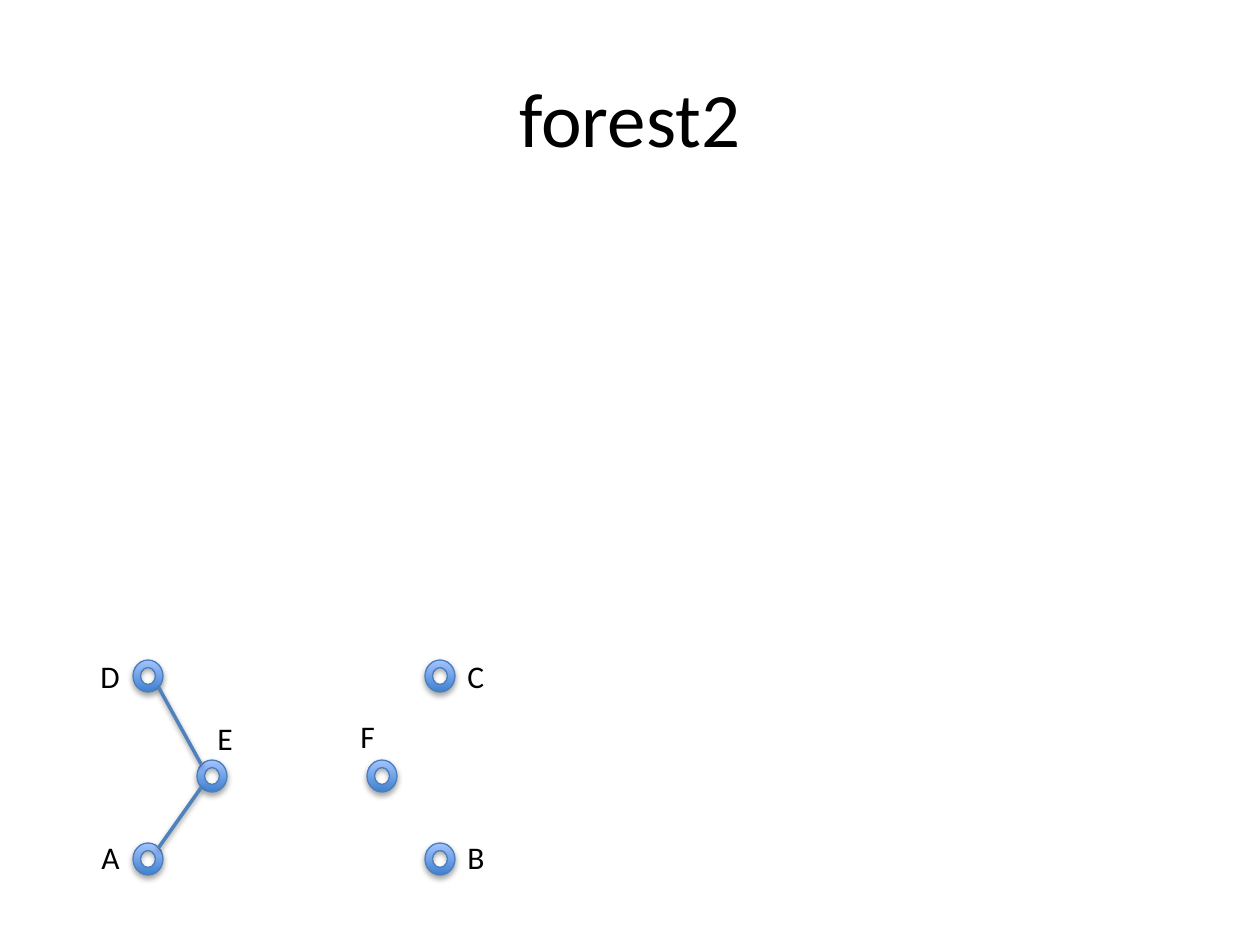
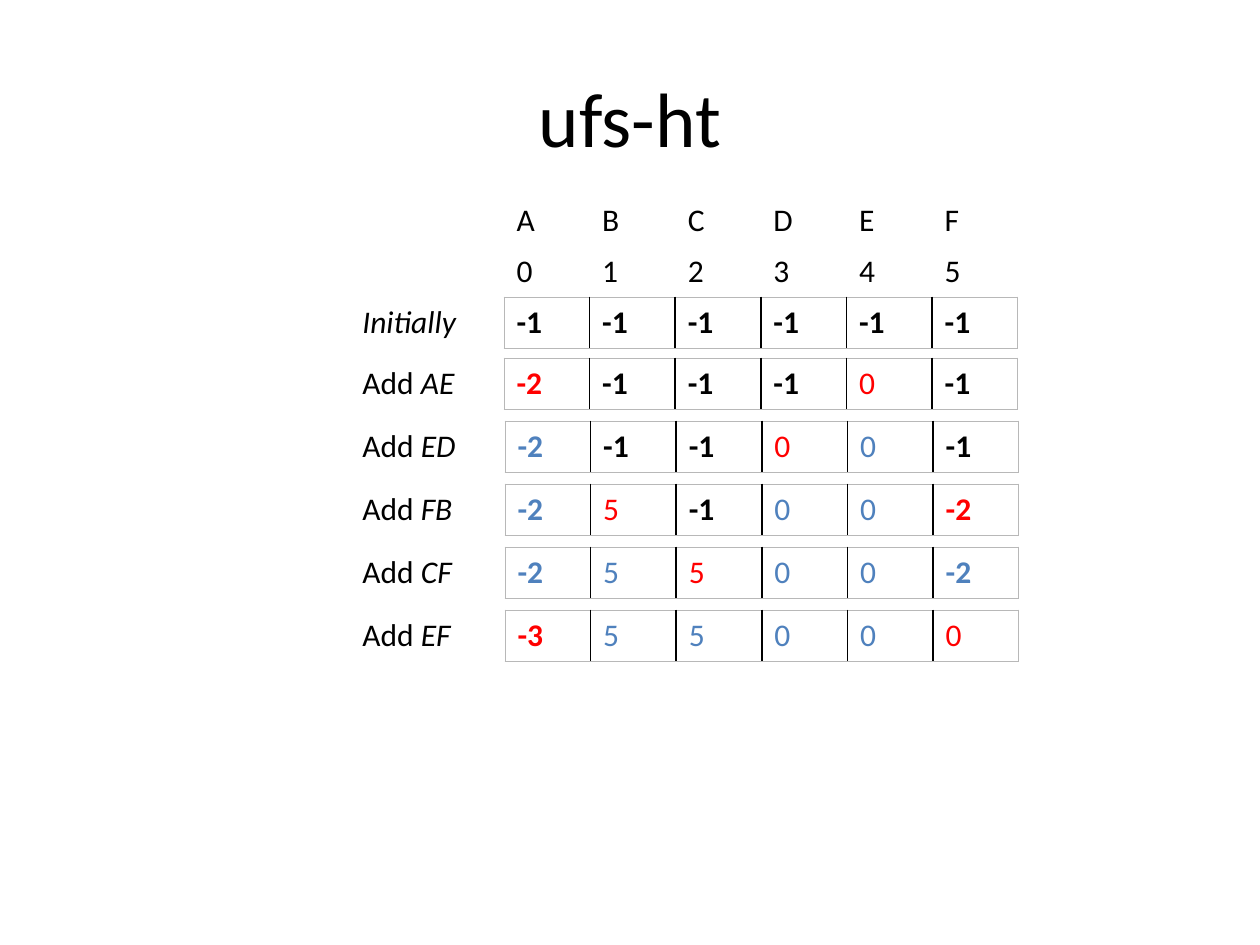
import pptx
import pptx.dml.color
import pptx.enum.shapes
import pptx.enum.text
import pptx.oxml.ns
import pptx.util
from lxml import etree

# Lengths are px, 126 to the inch.
EMU_PER_PX = 914400 / 126
SLIDE_SIZE = (1260, 945)
TITLE_BOX = (63, 38, 1134, 157)
FONT = "Calibri"
TITLE_SIZE, BODY_SIZE = 44, 18
BLACK, RED, BLUE, GREY = "000000", "FF0000", "4F81BD", "B8B8B8"
NODE_LINE, NODE_BOTTOM, NODE_TOP = "4B7EBC", "3F80CE", "A4C4FF"

# Forest: node name -> node left and top, label left, top and width
FOREST_TITLE = "forest2"
NODE_SIZE = (30, 32)
LABEL_HEIGHT = 50
NODES = {
    "A": ((133, 843), (89, 832, 44)),
    "B": ((425, 843), (455, 832, 43)),
    "C": ((425, 660), (455, 651, 43)),
    "D": ((133, 660), (88, 651, 45)),
    "E": ((197, 760), (205, 713, 42)),
    "F": ((367, 760), (348, 711, 40)),
}
# Each end is a node and its corner: 0 or 1 across, 0 or 1 down
EDGES = [(("A", 1, 0), ("E", 0, 1)), (("E", 0, 0), ("D", 1, 1))]
CORNER_INSET = 0.15

# Union-find: array contents after each step
ARRAY_TITLE = "ufs-ht"
ARRAY_WIDTH, ROW_HEIGHT = 514, 51
HEADERS = [(195, "ABCDEF"), (246, "012345")]
HEADER_LEFT = 504
STEP_LABEL_LEFT = 350
# Plain label, italic label, label width, array left and top, values
STEPS = [
    ("", "Initially", 120, 504, 297, [-1, -1, -1, -1, -1, -1]),
    ("Add ", "AE", 122, 504, 358, [-2, -1, -1, -1, 0, -1]),
    ("Add ", "ED", 120, 505, 421, [-2, -1, -1, 0, 0, -1]),
    ("Add ", "FB", 116, 505, 484, [-2, 5, -1, 0, 0, -2]),
    ("Add ", "CF", 118, 505, 547, [-2, 5, 5, 0, 0, -2]),
    ("Add ", "EF", 115, 505, 610, [-3, 5, 5, 0, 0, 0]),
]


def px(*lengths):
    return [pptx.util.Emu(round(length * EMU_PER_PX)) for length in lengths]


def rgb(colour):
    return pptx.dml.color.RGBColor.from_string(colour)


def set_font(paragraph, colour=BLACK, size=BODY_SIZE, bold=None):
    font = paragraph.font
    font.name, font.size, font.bold = FONT, pptx.util.Pt(size), bold
    font.color.rgb = rgb(colour)


def add_element(parent, tag, **attributes):
    return etree.SubElement(parent, pptx.oxml.ns.qn(tag), attributes)


def add_shadow(shape, distance, opacity):
    """Append a soft downward shadow; fill and line must be set already."""
    effects = add_element(shape.element.spPr, "a:effectLst")
    shadow = add_element(effects, "a:outerShdw", blurRad="40000", dist=str(distance),
                         dir="5400000", rotWithShape="0")
    colour = add_element(shadow, "a:srgbClr", val=BLACK)
    add_element(colour, "a:alpha", val=str(opacity * 1000))


def add_titled_slide(presentation, title):
    slide = presentation.slides.add_slide(presentation.slide_layouts[5])
    placeholder = slide.shapes.title
    placeholder.left, placeholder.top, placeholder.width, placeholder.height = px(*TITLE_BOX)
    placeholder.text_frame.vertical_anchor = pptx.enum.text.MSO_ANCHOR.MIDDLE
    paragraph = placeholder.text_frame.paragraphs[0]
    paragraph.text = title
    paragraph.alignment = pptx.enum.text.PP_ALIGN.CENTER
    set_font(paragraph, size=TITLE_SIZE)
    return slide


def add_label(shapes, left, top, width, plain, italic=""):
    frame = shapes.add_textbox(*px(left, top, width, LABEL_HEIGHT)).text_frame
    frame.word_wrap = False
    frame.auto_size = pptx.enum.text.MSO_AUTO_SIZE.SHAPE_TO_FIT_TEXT
    paragraph = frame.paragraphs[0]
    set_font(paragraph)
    for text, is_italic in ((plain, None), (italic, True)):
        if text:
            run = paragraph.add_run()
            run.text = text
            run.font.italic = is_italic


def add_node(shapes, left, top):
    node = shapes.add_shape(pptx.enum.shapes.MSO_SHAPE.DONUT, *px(left, top, *NODE_SIZE))
    node.fill.gradient()
    node.fill.gradient_angle = 90
    for stop, position, colour in zip(node.fill.gradient_stops, (0, 1), (NODE_BOTTOM, NODE_TOP)):
        stop.position = position
        stop.color.rgb = rgb(colour)
    node.line.color.rgb = rgb(NODE_LINE)
    node.line.width = pptx.util.Pt(0.75)
    add_shadow(node, 23000, 35)


def corner_point(name, across, down):
    """Point on the node's rim in a diagonal direction."""
    return [start + size * (1 - CORNER_INSET if far else CORNER_INSET)
            for start, size, far in zip(NODES[name][0], NODE_SIZE, (across, down))]


def add_edge(shapes, start, end):
    edge = shapes.add_connector(pptx.enum.shapes.MSO_CONNECTOR.STRAIGHT,
                                *px(*corner_point(*start), *corner_point(*end)))
    edge.line.color.rgb = rgb(BLUE)
    edge.line.width = pptx.util.Pt(2)
    add_shadow(edge, 20000, 38)


def add_border(cell, side, colour, points):
    width = str(pptx.util.Pt(points))
    line = add_element(cell._tc.get_or_add_tcPr(), f"a:ln{side}", w=width)
    if colour:
        add_element(add_element(line, "a:solidFill"), "a:srgbClr", val=colour)
    else:
        add_element(line, "a:noFill")


def add_array(slide, left, top, entries, bordered):
    """Add a one-row table of (text, colour, bold) entries."""
    frame = slide.shapes.add_table(1, len(entries), *px(left, top, ARRAY_WIDTH, ROW_HEIGHT))
    table = frame.table
    table.first_row = table.horz_banding = False
    last = len(entries) - 1
    for index, (text, colour, bold) in enumerate(entries):
        table.columns[index].width = px(ARRAY_WIDTH / len(entries))[0]
        cell = table.cell(0, index)
        paragraph = cell.text_frame.paragraphs[0]
        paragraph.text = text
        set_font(paragraph, colour, bold=bold)
        inner_sides = {"L": index > 0, "R": index < last, "T": False, "B": False}
        for side, inner in inner_sides.items():
            border = (BLACK, 1) if inner else (GREY, 0.5)
            add_border(cell, side, *(border if bordered else (None, 0)))
        cell.fill.background()


def build_forest(presentation):
    slide = add_titled_slide(presentation, FOREST_TITLE)
    shapes = slide.shapes.add_group_shape().shapes
    for name, (node_place, label_place) in NODES.items():
        add_node(shapes, *node_place)
        add_label(shapes, *label_place, name)
    for start, end in EDGES:
        add_edge(shapes, start, end)


def build_arrays(presentation):
    """Red marks a value changed in this step, blue one changed earlier."""
    slide = add_titled_slide(presentation, ARRAY_TITLE)
    for top, names in HEADERS:
        add_array(slide, HEADER_LEFT, top, [(name, BLACK, False) for name in names], False)
    initial = previous = STEPS[0][-1]
    for plain, italic, width, left, top, values in STEPS:
        entries = []
        for value, before, first in zip(values, previous, initial):
            colour = RED if value != before else BLUE if value != first else BLACK
            entries.append((str(value), colour, value < 0))
        add_array(slide, left, top, entries, True)
        add_label(slide.shapes, STEP_LABEL_LEFT, top - 1, width, plain, italic)
        previous = values


def main():
    presentation = pptx.Presentation()
    presentation.slide_width, presentation.slide_height = px(*SLIDE_SIZE)
    build_forest(presentation)
    build_arrays(presentation)
    presentation.save("out.pptx")


if __name__ == "__main__":
    main()
